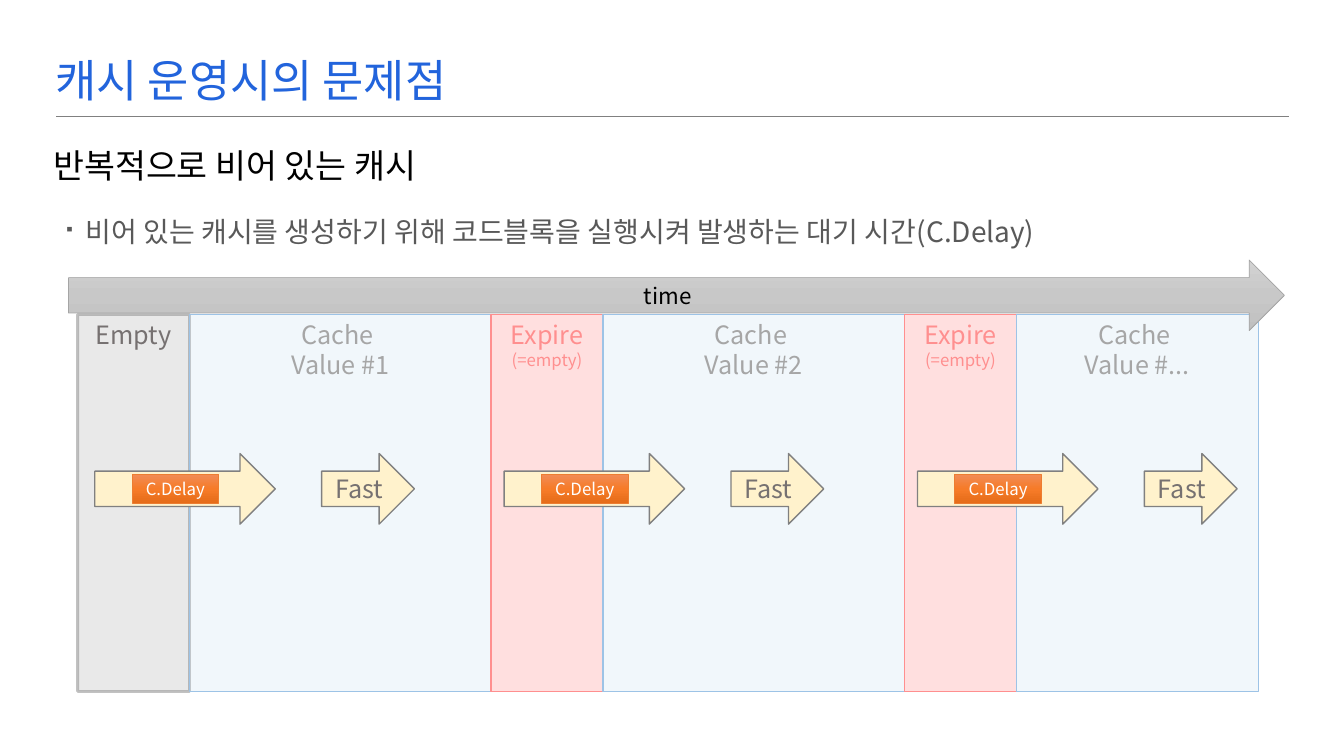
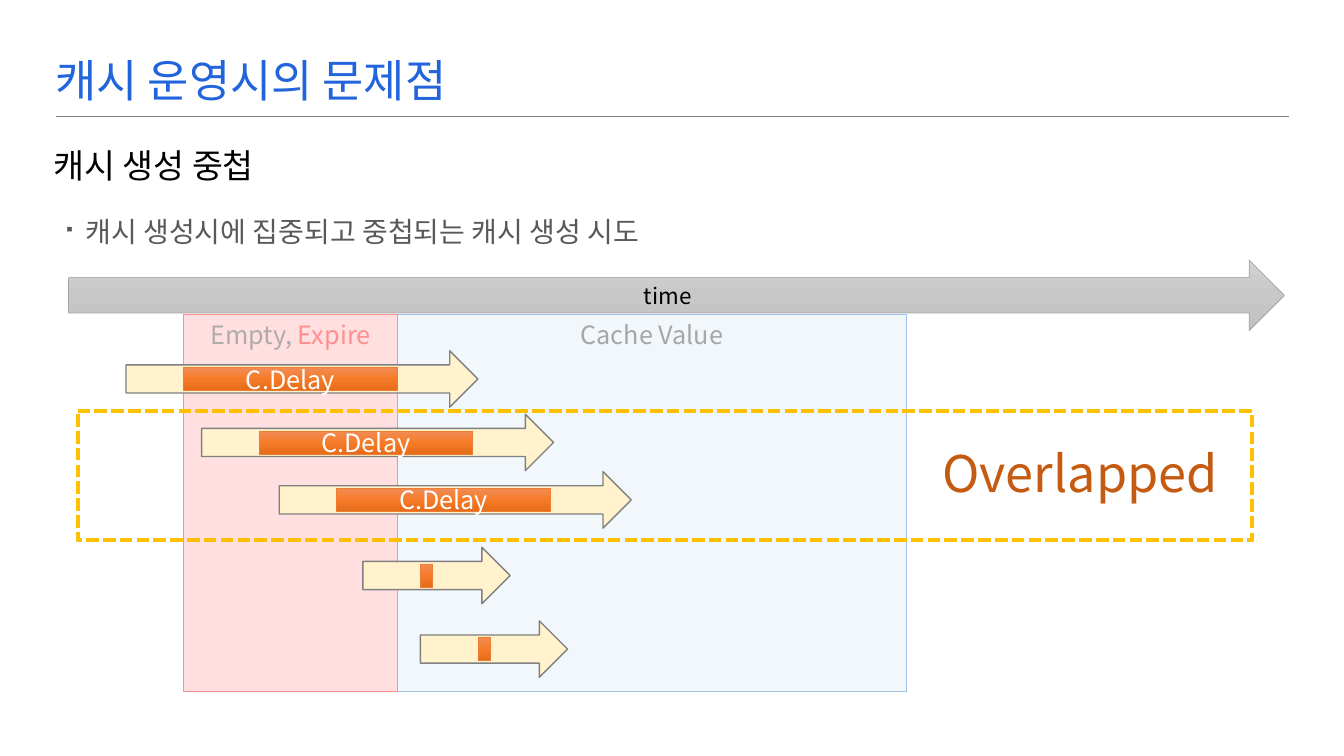
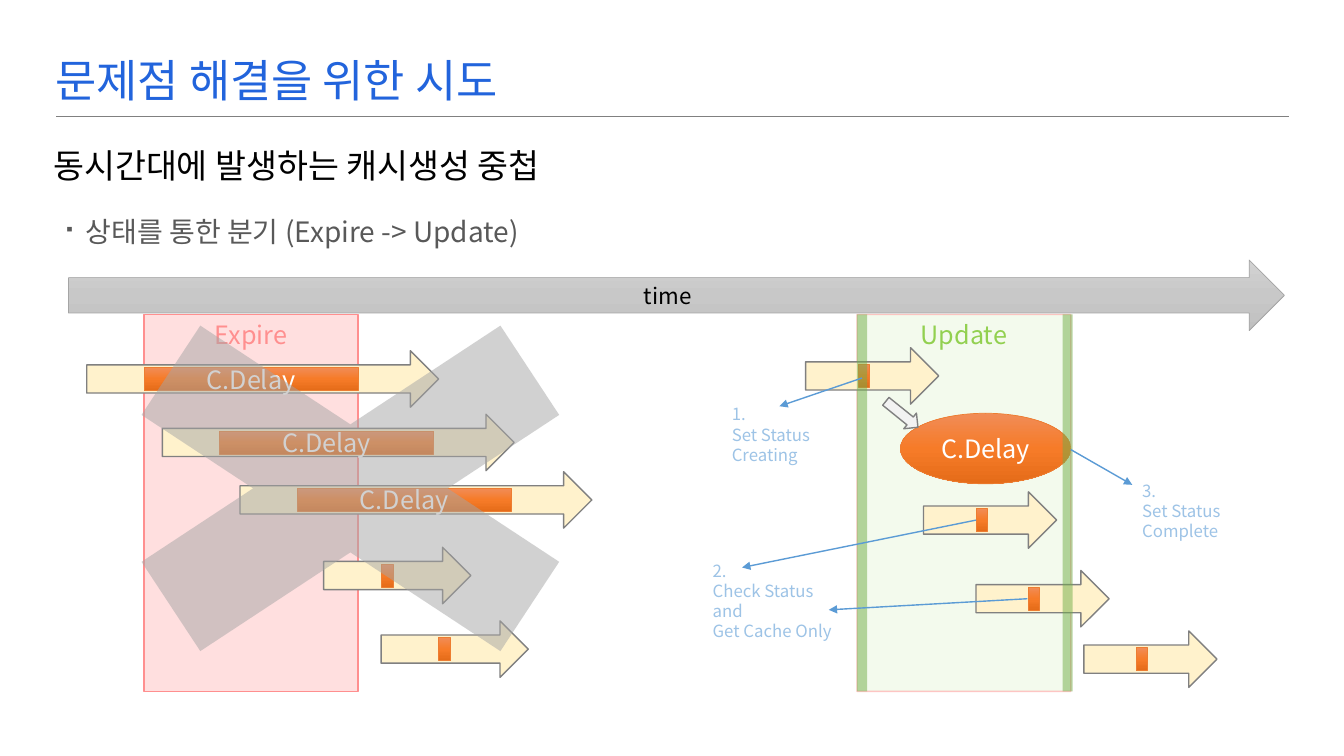
"""Build three slides on cache expiry, overlapping rebuilds and status branching."""
from copy import deepcopy
from itertools import accumulate

from lxml.etree import SubElement as Sub
from pptx import Presentation
from pptx.dml.color import RGBColor as RGB
from pptx.enum.dml import MSO_LINE as Dash
from pptx.enum.shapes import MSO_CONNECTOR as Link, MSO_SHAPE as Kind
from pptx.enum.text import MSO_ANCHOR as Anchor, PP_ALIGN as Align
from pptx.oxml.ns import qn
from pptx.util import Inches, Pt

FONT = "Noto Sans CJK KR"
BLUE = RGB(0x22, 0x64, 0xDC)
BLACK = RGB(0, 0, 0)
WHITE = RGB(255, 255, 255)
DARK = RGB(0x59, 0x59, 0x59)
GRAY = RGB(0x80, 0x80, 0x80)
SLATE = RGB(0x76, 0x71, 0x71)
SILVER = RGB(0xA5, 0xA5, 0xA5)
MUTED = RGB(0xA6, 0xA6, 0xA6)
WARM = RGB(0xAF, 0xAB, 0xAB)
EDGE = RGB(0x86, 0x86, 0x86)
PALE = RGB(0xE4, 0xE4, 0xE4)
SNOW = RGB(0xF2, 0xF2, 0xF2)
ICE = RGB(0xBD, 0xD7, 0xEE)
SKY = RGB(0x9D, 0xC3, 0xE6)
AZURE = RGB(0x5B, 0x9B, 0xD5)
RED = RGB(0xFF, 0x61, 0x61)
PINK = RGB(0xFF, 0x8F, 0x8F)
CREAM = RGB(0xFF, 0xF2, 0xCC)
ORANGE = RGB(0xED, 0x7D, 0x31)
RUST = RGB(0xC5, 0x5A, 0x11)
GOLD = RGB(0xFF, 0xC0, 0)
LIME = RGB(0x92, 0xD0, 0x50)
GREEN = RGB(0x70, 0xAD, 0x47)
FIRE = [RGB(0xF1, 0x8C, 0x57), RGB(0xF6, 0x7B, 0x28), RGB(0xE5, 0x6C, 0x19)]
STEEL = [RGB(0xD2, 0xD2, 0xD2), RGB(0xC8, 0xC8, 0xC8), RGB(0xC0, 0xC0, 0xC0)]

STYLES = {
    "empty": dict(fill=PALE, clear=80, line=EDGE, width=2, veil=50),
    "value": dict(fill=ICE, clear=20, line=SKY),
    "expire": dict(fill=RED, clear=20, line=PINK),
    "update": dict(fill=LIME, clear=10, line=PINK, veil=50),
    "flow": dict(fill=CREAM, line=GRAY),
    "delay": dict(fill=FIRE, line=ORANGE, width=0.5),
    "time": dict(fill=STEEL, line=SILVER, width=0.5),
    "hint": dict(fill=SNOW, line=GRAY),
    "cross": dict(fill=SILVER, clear=50),
    "edge": dict(fill=GREEN, clear=50),
    "frame": dict(line=GOLD, width=3, dash=Dash.SQUARE_DOT),
}

HEADS = [
    ("캐시 운영시의 문제점", "반복적으로 비어 있는 캐시",
     "비어 있는 캐시를 생성하기 위해 코드블록을 실행시켜 발생하는 대기 시간(C.Delay)"),
    ("캐시 운영시의 문제점", "캐시 생성 중첩",
     "캐시 생성시에 집중되고 중첩되는 캐시 생성 시도"),
    ("문제점 해결을 위한 시도", "동시간대에 발생하는 캐시생성 중첩",
     "상태를 통한 분기 (Expire -> Update)"),
]

TOP, TALL = 3.12, 3.74
LEFT = 0.77
NARROW, BROAD, LAST, SPAN = 1.11, 2.99, 2.4, 2.12


def value(tag):
    return [[("Cache ", 18, MUTED)], [("Value #" + tag, 18, MUTED)]]


LAPSE = [[("Expire", 18, PINK)], [("(=empty)", 12, PINK)]]
BANDS = [
    ("empty", NARROW, [[("Empty", 18, SLATE)]]),
    ("value", BROAD, value("1")),
    ("expire", NARROW, LAPSE),
    ("value", BROAD, value("2")),
    ("expire", NARROW, LAPSE),
    ("value", LAST, value("...")),
]
STARTS = [0.94, 5, 9.1]

SIZES = {
    "big": dict(w=1.79, h=0.7, gap=0.37, chip=0.86, deep=0.29, size=12),
    "long": dict(w=3.49, h=0.56, gap=0.57, chip=SPAN, deep=0.23, size=18),
    "short": dict(w=1.46, h=0.56, gap=0.57, chip=0.12, deep=0.23),
    "small": dict(w=1.32, h=0.56, gap=0.52, chip=0.11, deep=0.23),
}
STEPS = [("long", -0.57, 3.48), ("long", 0.18, 4.11), ("long", 0.95, 4.68),
         ("short", 1.78, 5.43), ("short", 2.35, 6.16)]
CALLS = [(9.68, 5.66), (10.75, 6.26), (9.16, 4.88), (7.99, 3.45)]
LINKS = [(8.55, 3.75, 7.73, 4.03), (9.68, 5.16, 7.36, 5.63),
         (10.19, 5.94, 8.22, 6.05), (10.62, 4.46, 11.23, 4.81)]
NOTES = [
    ((7.16, 3.96, 1.06, 0.71), ["1.", "Set Status", "Creating"]),
    ((6.97, 5.51, 1.39, 0.91), ["2.", "Check Status", "and", "Get Cache Only"]),
    ((11.23, 4.72, 1.06, 0.71), ["3.", "Set Status", "Complete"]),
]


def write(frame, paras, anchor=Anchor.TOP, wrap=True, bullet=False, **form):
    for key, val in dict(vertical_anchor=anchor, word_wrap=wrap).items():
        setattr(frame, key, val)
    for num, runs in enumerate(paras):
        para = frame.add_paragraph() if num else frame.paragraphs[0]
        if bullet:
            props = para._p.get_or_add_pPr()
            props.set("marL", str(Inches(0.32)))
            props.set("indent", str(Inches(-0.21)))
            Sub(props, qn("a:buSzPct")).set("val", "50000")
            Sub(props, qn("a:buChar")).set("char", "▪")
        for key, val in form.items():
            setattr(para, key, val)
        for text, size, color in runs:
            run = para.add_run()
            run.text = text
            for key, val in dict(name=FONT, size=Pt(size)).items():
                setattr(run.font, key, val)
            run.font.color.rgb = color
            Sub(run._r.get_or_add_rPr(), qn("a:ea")).set("typeface", FONT)


def label(slide, box, paras, **form):
    area = slide.shapes.add_textbox(*map(Inches, box))
    write(area.text_frame, paras, **form)


def paint(fill, color):
    if color is None:
        fill.background()
    else:
        fill.solid()
        fill.fore_color.rgb = color


def blend(shape, fill):
    fill.gradient()
    fill.gradient_angle = 270
    stops = next(shape._element.iter(qn("a:gsLst")))
    stops.insert(1, deepcopy(stops[0]))
    return fill.gradient_stops


def fade(node, share):
    if share:
        color = next(node.iter(qn("a:srgbClr")))
        Sub(color, qn("a:alpha")).set("val", str(share * 1000))


def draw(slide, style, kind, box, paras=(), anchor=Anchor.MIDDLE, turn=0):
    look = STYLES[style]
    shape = slide.shapes.add_shape(kind, *map(Inches, box))
    shape.shadow.inherit = False
    shape.rotation = turn
    hue = look.get("fill")
    if isinstance(hue, list):
        for num, stop in enumerate(blend(shape, shape.fill)):
            stop.position = num / 2
            stop.color.rgb = hue[num]
    else:
        paint(shape.fill, hue)
        fade(shape._element.spPr, look.get("clear"))
    paint(shape.line.fill, look.get("line"))
    if "line" in look:
        shape.line.width = Pt(look.get("width", 1))
        fade(shape.line._ln, look.get("veil"))
    if "dash" in look:
        shape.line.dash_style = look["dash"]
    write(shape.text_frame, paras, anchor, alignment=Align.CENTER)


def rule(slide, ends, color, width, arrow=False):
    line = slide.shapes.add_connector(Link.STRAIGHT, *map(Inches, ends))
    line.line.color.rgb = color
    line.line.width = Pt(width)
    if arrow:
        Sub(line.line._ln, qn("a:tailEnd")).set("type", "triangle")
    Sub(line._element.spPr, qn("a:effectLst"))


def band(slide, style, x, w, paras):
    draw(slide, style, Kind.RECTANGLE, (x, TOP, w, TALL), paras, Anchor.TOP)


def flow(slide, name, x, y):
    form = SIZES[name]
    draw(slide, "flow", Kind.RIGHT_ARROW, (x, y, form["w"], form["h"]))
    deep = form["deep"]
    chip = (x + form["gap"], y + (form["h"] - deep) / 2, form["chip"], deep)
    text = [[("C.Delay", form["size"], WHITE)]] if "size" in form else []
    draw(slide, "delay", Kind.RECTANGLE, chip, text)


def steps(slide, x):
    for name, shift, y in STEPS:
        flow(slide, name, x + shift, y)


def start(deck, title, topic, point):
    slide = deck.slides.add_slide(deck.slide_layouts[6])
    rule(slide, (0.56, 1.16, 12.78, 1.16), GRAY, 0.75)
    label(slide, (0.45, 0.24, 10.79, 0.93), [[(title, 32, BLUE)]],
          anchor=Anchor.MIDDLE, line_spacing=1.3)
    label(slide, (0.43, 1.41, 10.81, 0.5), [[(topic, 24, BLACK)]],
          anchor=Anchor.MIDDLE, line_spacing=0.9)
    label(slide, (0.43, 1.96, 10.81, 3.34), [[(point, 20, DARK)]],
          bullet=True, line_spacing=1.35)
    return slide


def clock(slide):
    draw(slide, "time", Kind.RIGHT_ARROW, (0.68, 2.58, 12.06, 0.7),
         [[("time", 16, BLACK)]])


def repeat(slide):
    edges = accumulate([w for _, w, _ in BANDS], initial=LEFT)
    for x, (style, w, paras) in zip(edges, BANDS):
        band(slide, style, x, w, paras)
    clock(slide)
    for x in STARTS:
        flow(slide, "big", x, 4.5)
        draw(slide, "flow", Kind.RIGHT_ARROW, (x + 2.25, 4.5, 0.92, 0.7),
             [[("Fast", 18, SLATE)]])


def overlap(slide):
    x = 1.82
    band(slide, "value", x + SPAN, 5.05, [[("Cache Value", 18, MUTED)]])
    band(slide, "expire", x, SPAN,
         [[("Empty, ", 18, WARM), ("Expire", 18, PINK)]])
    clock(slide)
    steps(slide, x)
    draw(slide, "frame", Kind.FLOWCHART_PROCESS, (LEFT, 4.08, 11.65, 1.28))
    label(slide, (9.25, 4.34, 3, 0.71), [[("Overlapped", 36, RUST)]], wrap=False)


def branch(slide):
    x = 1.43
    band(slide, "expire", x, SPAN, [[("Expire", 18, PINK)]])
    band(slide, "update", 8.5, SPAN, [[("Update", 18, LIME)]])
    clock(slide)
    steps(slide, x)
    for spot in CALLS:
        flow(slide, "small", *spot)
    draw(slide, "delay", Kind.OVAL, (8.93, 4.1, 1.69, 0.7),
         [[("C.Delay", 18, WHITE)]])
    draw(slide, "hint", Kind.RIGHT_ARROW, (8.74, 4.01, 0.41, 0.2), turn=38.9)
    draw(slide, "cross", Kind.MATH_MULTIPLY, (0.05, 2.59, 6.85, 4.51))
    for side in (8.5, 10.54):
        draw(slide, "edge", Kind.RECTANGLE, (side, TOP, 0.1, TALL))
    for ends in LINKS:
        rule(slide, ends, AZURE, 1, arrow=True)
    for box, lines in NOTES:
        label(slide, box, [[(text, 12, SKY)] for text in lines], wrap=False)


def main():
    deck = Presentation()
    deck.slide_width, deck.slide_height = Inches(13.33), Inches(7.5)
    for head, fill in zip(HEADS, (repeat, overlap, branch)):
        fill(start(deck, *head))
    deck.save("out.pptx")


if __name__ == "__main__":
    main()
